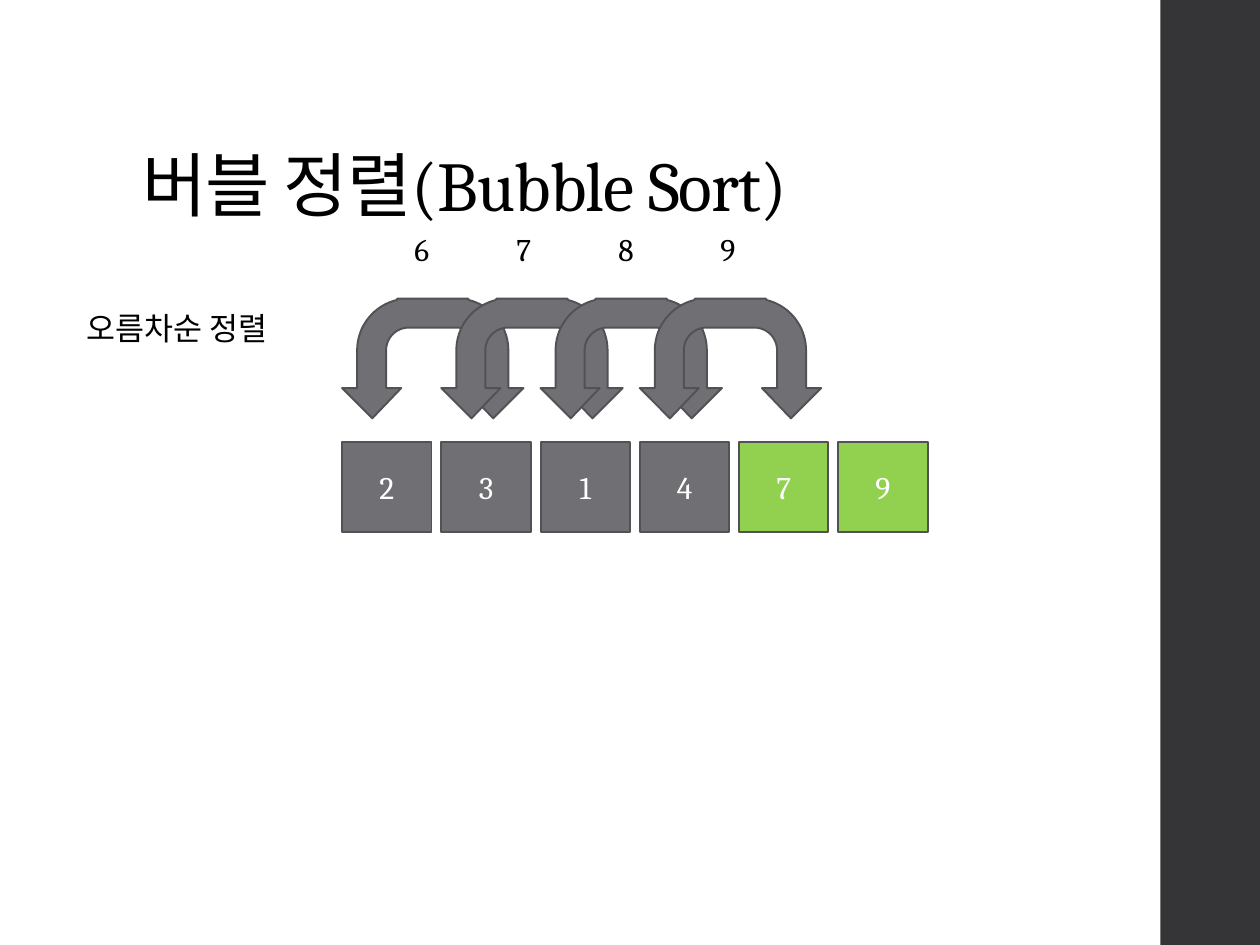
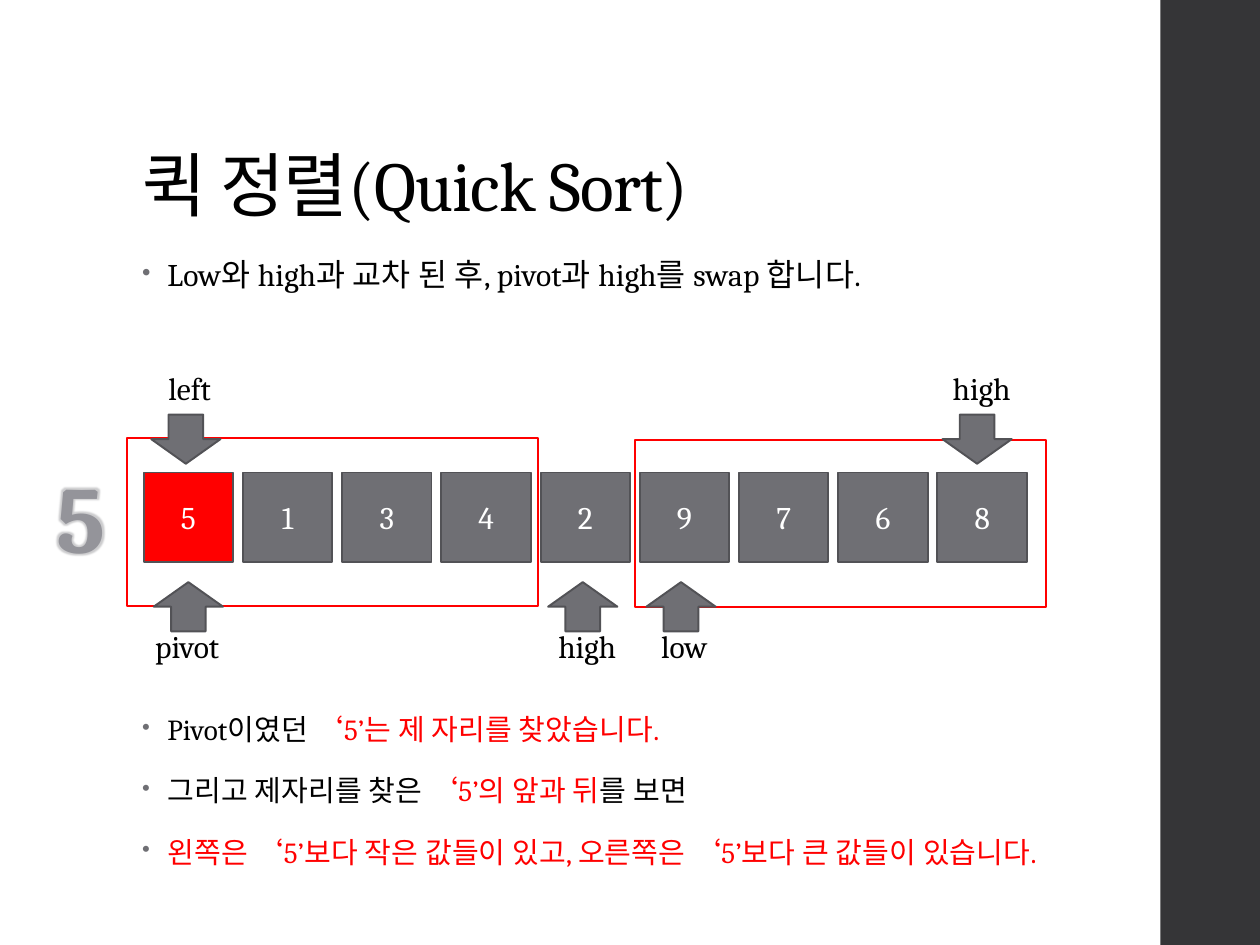
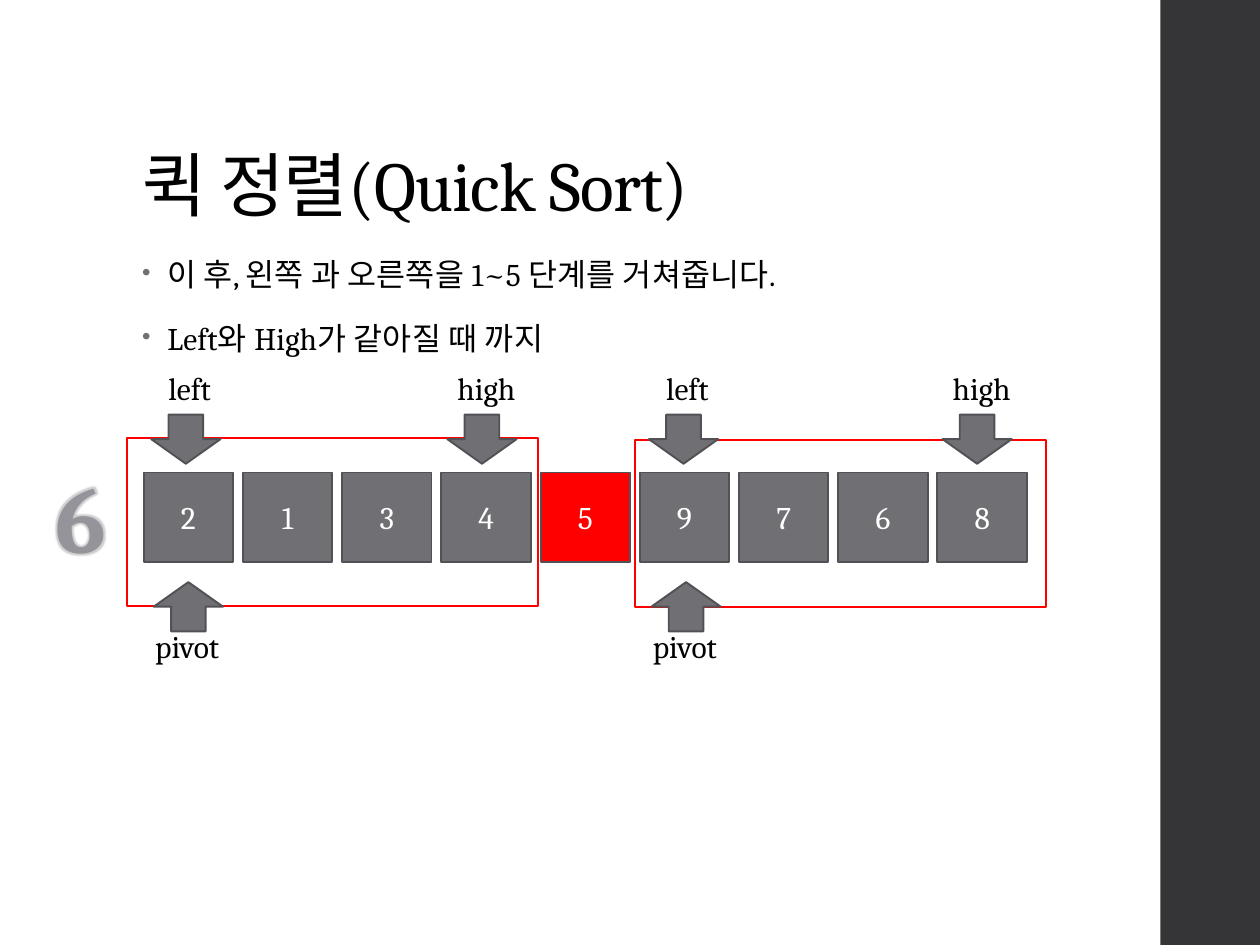
from math import cos, radians, sin

from lxml import etree
from pptx import Presentation
from pptx.dml.color import RGBColor
from pptx.enum.shapes import MSO_SHAPE
from pptx.enum.text import MSO_ANCHOR, MSO_AUTO_SIZE, PP_ALIGN
from pptx.oxml import parse_xml
from pptx.oxml.ns import qn
from pptx.util import Inches, Pt

RECT, UP, DOWN = MSO_SHAPE.RECTANGLE, MSO_SHAPE.UP_ARROW, MSO_SHAPE.DOWN_ARROW
BOTTOM, MIDDLE, TOP = MSO_ANCHOR.BOTTOM, MSO_ANCHOR.MIDDLE, MSO_ANCHOR.TOP
LEFT, CENTER = PP_ALIGN.LEFT, PP_ALIGN.CENTER
NO_FIT = MSO_AUTO_SIZE.NONE


class Theme:
    font = "Cambria"
    black, white = "000000", "FFFFFF"
    band, gray, edge = "353537", "6F6F74", "525256"
    red, green = "FF0000", "92D050"
    light, dark, rim = "94949A", "515157", "F5F5F5"
    head, text, note, step = 40, 18, 16.6, 54
    stroke = 1.1


# Number cells sit on one grid of nine places
CELL, START, PITCH = 0.71, 1.14, 6.3 / 8

# Each label: box width and offset from its arrow's left edge
LABELS = {"pivot": (0.79, -0.13), "low": (0.6, 0), "high": (0.72, -0.05), "left": (0.59, 0.01)}

BUBBLE = "버블 정렬(Bubble Sort)"
QUICK = "퀵 정렬(Quick Sort)"
K, R = Theme.black, Theme.red

PAGES = [
    dict(title=BUBBLE, first=2, top=3.51, cells="231479", marks={4: Theme.green, 5: Theme.green}),
    dict(
        title=QUICK, first=0, top=3.75, cells="513429768", marks={0: R}, step="5",
        body=[[("Low와 high과 교차 된 후, pivot과 high를 swap 합니다.", K)]],
        notes=[
            [("Pivot이였던 ", K), ("‘5’는 제 자리를 찾았습니다.", R)],
            [("그리고 제자리를 찾은 ", K), ("‘5’의 앞과 뒤", R), ("를 보면", K)],
            [("왼쪽은 ‘5’보다 작은 값들이 있고, 오른쪽은 ‘5’보다 큰 값들이 있습니다.", R)],
        ],
        above=[("left", 1.2), ("high", 7.48)],
        below=[("pivot", 1.22), ("high", 4.35), ("low", 5.13)],
    ),
    dict(
        title=QUICK, first=0, top=3.75, cells="213459768", marks={4: R}, step="6",
        body=[
            [("이 후, 왼쪽 과 오른쪽을 1~5 단계를 거쳐줍니다.", K)],
            [("Left와 High가 같아질 때 까지", K)],
        ],
        notes=[],
        above=[("left", 1.2), ("high", 3.55), ("left", 5.15), ("high", 7.48)],
        below=[("pivot", 1.22), ("pivot", 5.17)],
    ),
]


def paint(shape, fill, line=None):
    shape.shadow.inherit = False
    shape.fill.solid()
    shape.fill.fore_color.rgb = RGBColor.from_string(fill)
    if line:
        shape.line.color.rgb = RGBColor.from_string(line)
        shape.line.width = Pt(Theme.stroke)
    else:
        shape.line.fill.background()


def write(shape, lines, size=Theme.text, align=LEFT, anchor=TOP, wrap=True, space=0):
    frame = shape.text_frame
    frame.word_wrap, frame.auto_size, frame.vertical_anchor = wrap, NO_FIT, anchor
    for i, line in enumerate(lines):
        par = frame.add_paragraph() if i else frame.paragraphs[0]
        par.alignment = align
        for text, color in line:
            run = par.add_run()
            run.text = text
            run.font.name, run.font.size = Theme.font, Pt(size)
            run.font.color.rgb = RGBColor.from_string(color)
            if space:
                run.font._element.set("spc", str(space))
    return frame


deck = Presentation()
deck.slide_width, deck.slide_height = Inches(10), Inches(7.5)
layout = deck.slide_layouts[5]

for page in PAGES:
    slide = deck.slides.add_slide(layout)
    shapes = slide.shapes

    # Side band, kept on the shared layout
    if page is PAGES[0]:
        band = shapes.add_shape(RECT, Inches(9.21), 0, Inches(0.8), Inches(7.5))
        paint(band, Theme.band)
        layout.shapes.element.insert(2, band.element)

    # Title
    title = shapes.title
    title.left, title.top = Inches(1.03), Inches(0.4)
    title.width, title.height = Inches(7.95), Inches(1.45)
    frame = write(title, [[(page["title"], K)]], Theme.head, anchor=BOTTOM, space=-50)
    frame.paragraphs[0].line_spacing = 0.9

    # Frames around the two halves
    if "step" in page:
        for x, y in ((5.04, 3.49), (1.01, 3.48)):
            half = shapes.add_shape(RECT, Inches(x), Inches(y), Inches(3.26), Inches(1.33))
            paint(half, Theme.white, Theme.red)

    # Number cells
    for i, digit in enumerate(page["cells"]):
        x = START + PITCH * (page["first"] + i)
        cell = shapes.add_shape(RECT, Inches(x), Inches(page["top"]), Inches(CELL), Inches(CELL))
        paint(cell, page["marks"].get(i, Theme.gray), Theme.edge)
        write(cell, [[(digit, Theme.white)]], align=CENTER, anchor=MIDDLE)

    if "step" not in page:
        # Caption and swap counts
        notes = [("오름차순 정렬", 0.59, 2.4, 1.81)]
        notes += [(str(6 + i), 3.19 + 0.81 * i, 1.78, 0.34) for i in range(4)]
        for text, x, y, w in notes:
            box = shapes.add_textbox(Inches(x), Inches(y), Inches(w), Inches(0.4))
            write(box, [[(text, K)]], wrap=False)

        # Swap arches: the left half, then its mirror
        outer = [(0.53 + 0.41 * cos(radians(a)), 0.41 - 0.41 * sin(radians(a)))
                 for a in range(104, 181, 4)]
        inner = [(0.53 + 0.18 * cos(radians(a)), 0.41 - 0.18 * sin(radians(a)))
                 for a in range(180, 89, -6)]
        foot = [(0.12, 0.71), (0, 0.71), (0.24, 0.95), (0.47, 0.71), (0.35, 0.71)]
        side = [(0.44, 0)] + outer + foot + inner
        arch = side + [(1.44 - x, y) for x, y in reversed(side)]
        for i in range(4):
            x0 = START + PITCH * (2 + i)
            dots = [(Inches(x0 + x), Inches(2.37 + y)) for x, y in arch]
            path = shapes.build_freeform(*dots[0])
            path.add_line_segments(dots[1:], close=True)
            paint(path.convert_to_shape(), Theme.gray, Theme.edge)
        continue

    # Bulleted text
    for lines, y, size in ((page["body"], 2, Theme.text), (page["notes"], 5.62, Theme.note)):
        if not lines:
            continue
        box = shapes.add_textbox(Inches(1.03), Inches(y), Inches(7.82), Inches(1.36))
        for par in write(box, lines, size, space=10).paragraphs:
            par.line_spacing, par.space_before, par.space_after = 0.95, Pt(14), Pt(2)
            props = par._p.get_or_add_pPr()
            props.set("marL", str(Inches(0.2)))
            props.set("indent", str(-Inches(0.2)))
            tint = etree.SubElement(props, qn("a:buClr"))
            etree.SubElement(tint, qn("a:srgbClr"), val=Theme.gray)
            etree.SubElement(props, qn("a:buSzPct"), val="80000")
            etree.SubElement(props, qn("a:buChar"), char="•")

    # Pointers above and below the cells
    for row, kind, ya, yt in (("above", DOWN, 3.29, 2.88), ("below", UP, 4.62, 4.93)):
        for name, x in page[row]:
            w, shift = LABELS[name]
            box = shapes.add_textbox(Inches(x + shift), Inches(yt), Inches(w), Inches(0.4))
            write(box, [[(name, K)]], align=CENTER, wrap=False)
            arrow = shapes.add_shape(kind, Inches(x), Inches(ya), Inches(0.55), Inches(0.39))
            paint(arrow, Theme.gray, Theme.edge)

    # Step number with outline, gradient and glow
    box = shapes.add_textbox(Inches(0.3), Inches(3.59), Inches(0.68), Inches(1.01))
    frame = write(box, [[(page["step"], Theme.light)]], Theme.step, CENTER, wrap=False, space=300)
    font = frame.paragraphs[0].runs[0].font
    font.bold = True
    props = font._element
    props.remove(props.find(qn("a:solidFill")))
    style = parse_xml(
        '<a:rPr xmlns:a="http://schemas.openxmlformats.org/drawingml/2006/main">'
        f'<a:ln w="11430"><a:solidFill><a:srgbClr val="{Theme.rim}"/></a:solidFill></a:ln>'
        f'<a:gradFill><a:gsLst><a:gs pos="10000"><a:srgbClr val="{Theme.light}"/></a:gs>'
        f'<a:gs pos="75000"><a:srgbClr val="{Theme.dark}"/></a:gs></a:gsLst>'
        '<a:lin ang="5400000"/></a:gradFill>'
        f'<a:effectLst><a:glow rad="45500"><a:srgbClr val="{Theme.gray}">'
        '<a:alpha val="35000"/></a:srgbClr></a:glow></a:effectLst></a:rPr>'
    )
    for i, part in enumerate(list(style)):
        props.insert(i, part)

deck.save("out.pptx")
